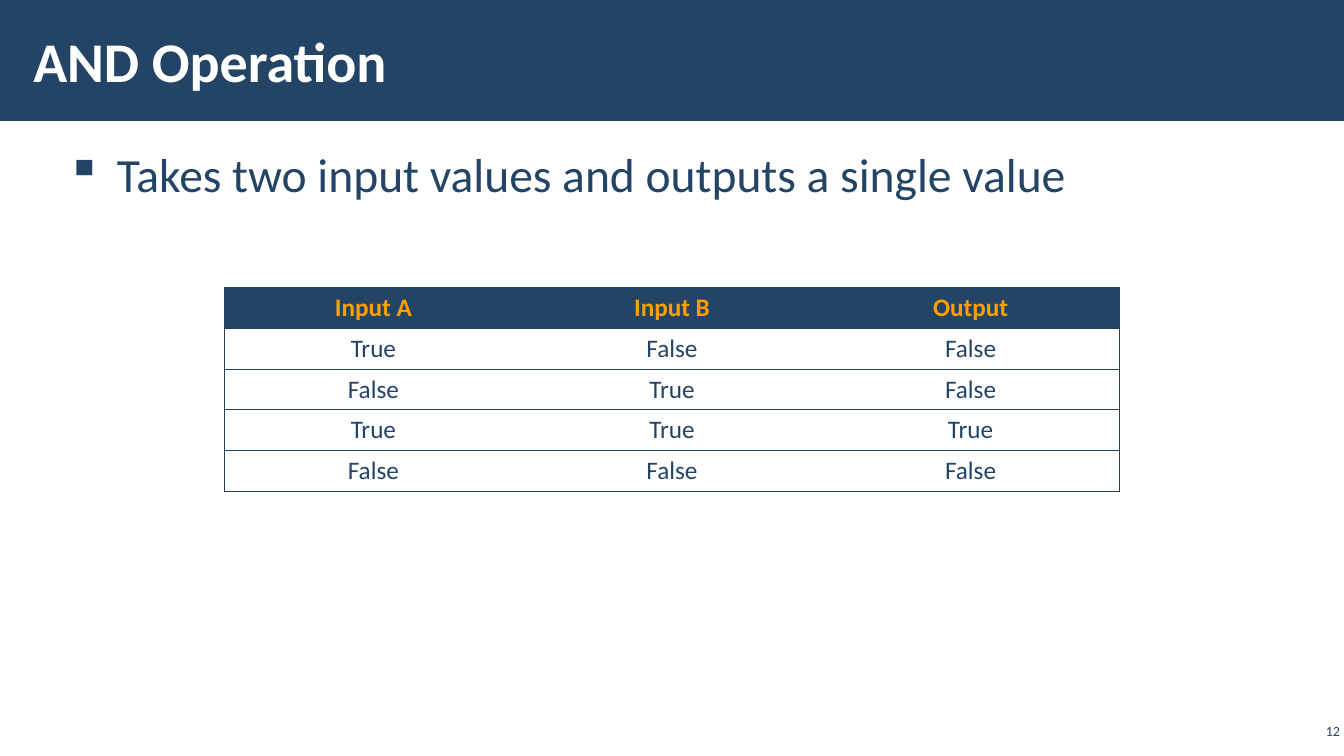
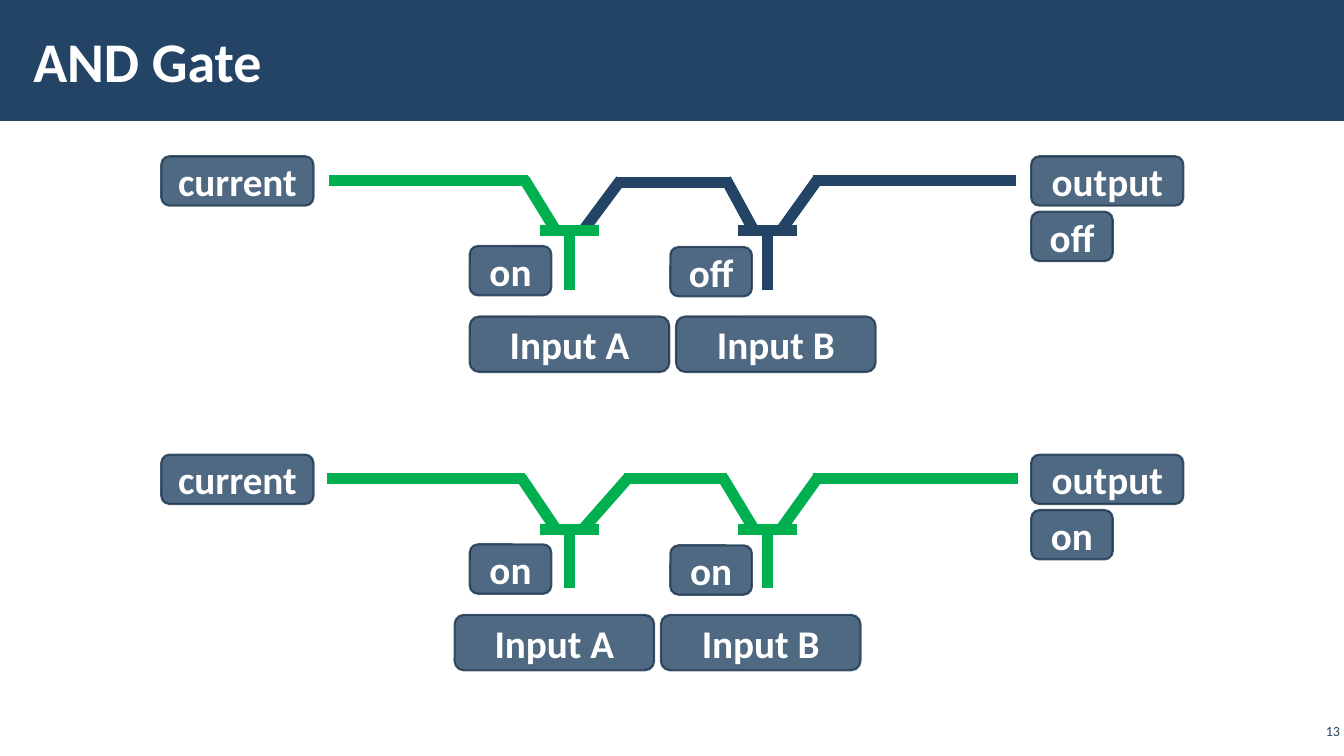
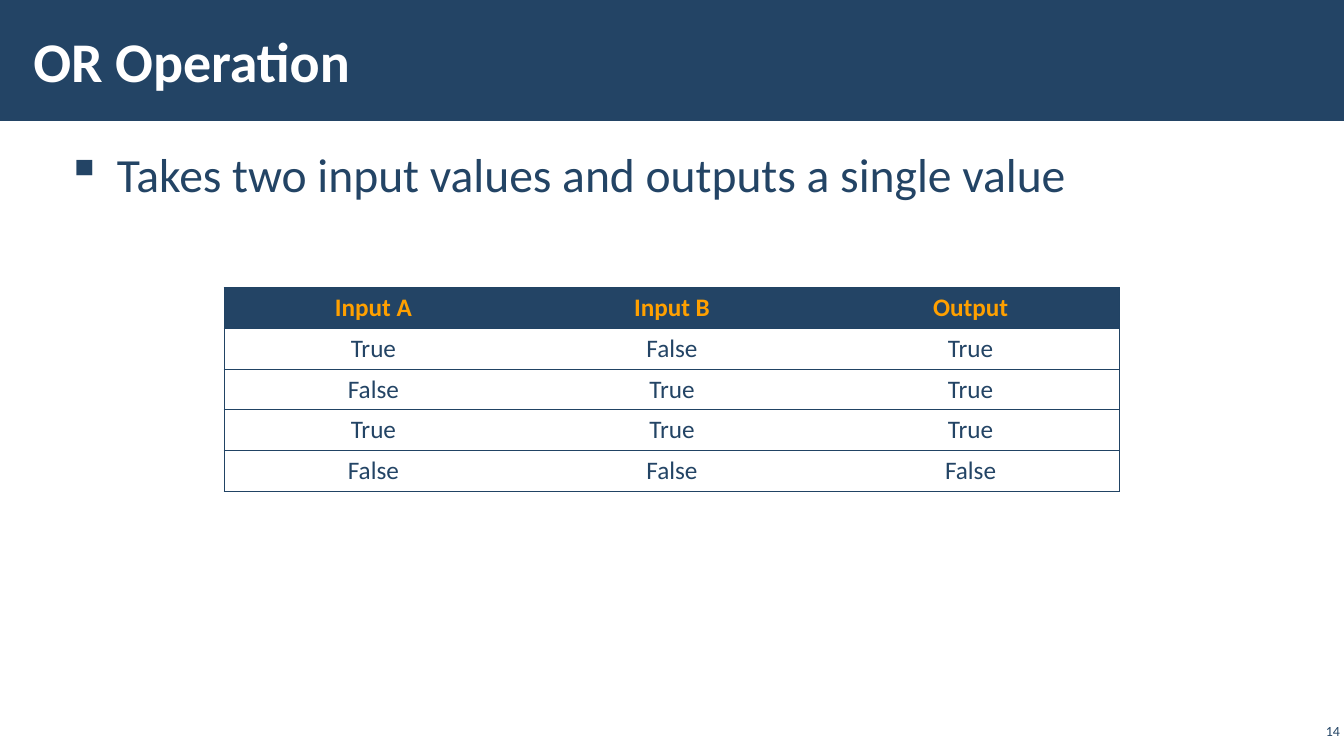
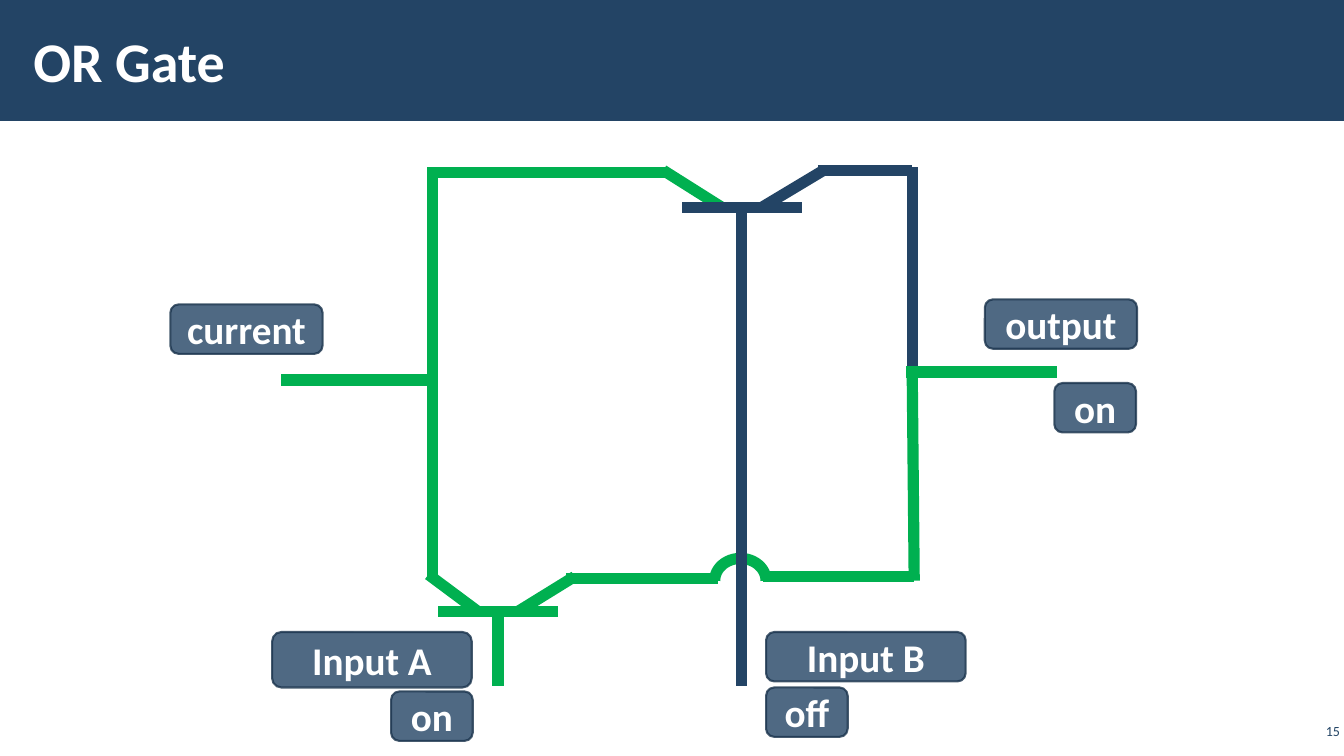
from lxml.etree import SubElement
from pptx import Presentation
from pptx.dml.color import RGBColor
from pptx.enum.shapes import MSO_CONNECTOR as Connector, MSO_SHAPE as Shape
from pptx.enum.text import MSO_ANCHOR as Anchor, PP_ALIGN as Align
from pptx.oxml.ns import qn
from pptx.util import Inches, Pt

# Slide grid: 40 columns by 22.5 rows of square cells
COLUMNS, ROWS = 40, 22.5
CELL = Inches(1) / 3
COLORS = {"navy": "234465", "edge": "1A334C", "rule": "214364",
          "green": "00B050", "orange": "FFA000", "white": "FFFFFF"}
FONT = "Calibri"

# Label sizes in columns and rows
END, INPUT, STATE = (4.53, 1.47), (5.94, 1.65), (2.43, 1.47)


def cells(*lengths):
    return [round(length * CELL) for length in lengths]


def color(name):
    return RGBColor.from_string(COLORS[name])


def apply(target, **values):
    for name, value in values.items():
        setattr(target, name, value)


class Deck:
    def __init__(self, first_number):
        self.presentation = Presentation()
        width, height = cells(COLUMNS, ROWS)
        apply(self.presentation, slide_width=width, slide_height=height)
        self.layout = self.presentation.slide_layouts.get_by_name("Title Only")
        self.number = first_number
        self.slide = None

    def add_slide(self, title):
        self.slide = self.presentation.slides.add_slide(self.layout)
        if len(self.presentation.slides) == 1:
            self.add_band()
        heading = self.slide.shapes.title
        self.place(heading, 0.63, 0.33, 31.2, 2.91)
        self.add_text(heading.text_frame, title, 40, "white", bold=True)
        self.frame(heading.text_frame, 0.12, Anchor.MIDDLE)
        number = self.text_box(38.58, 21.42, 1.42, 0.66, str(self.number), 10, Align.RIGHT)
        self.frame(number.text_frame, 0.04, Anchor.MIDDLE)
        self.number += 1

    def add_band(self):
        """Put the title band on the layout, behind every title."""
        band = self.slide.shapes.add_shape(Shape.RECTANGLE, *cells(0, 0, COLUMNS, 3.6))
        band.shadow.inherit = False
        self.fill(band, "navy")
        band.line.fill.background()
        self.layout.shapes.element.insert(2, band.element)

    # Formatting helpers
    def place(self, shape, left, top, width, height):
        apply(shape, **dict(zip(("left", "top", "width", "height"),
                                cells(left, top, width, height))))

    def fill(self, target, name):
        target.fill.solid()
        target.fill.fore_color.rgb = color(name)

    def frame(self, frame, side, anchor):
        apply(frame, word_wrap=True, vertical_anchor=anchor,
              margin_left=Inches(side), margin_right=Inches(side),
              margin_top=Inches(0.04), margin_bottom=Inches(0.04))

    def add_text(self, frame, text, size, name, align=Align.LEFT, bold=False):
        paragraph = frame.paragraphs[0]
        paragraph.alignment = align
        run = paragraph.add_run()
        run.text = text
        apply(run.font, name=FONT, size=Pt(size), bold=bold)
        run.font.color.rgb = color(name)

    # Elements
    def text_box(self, left, top, width, height, text, size, align=Align.LEFT):
        box = self.slide.shapes.add_textbox(*cells(left, top, width, height))
        self.add_text(box.text_frame, text, size, "navy", align)
        return box

    def bullet(self, text):
        frame = self.text_box(1.62, 4.11, 37, 17.3, text, 34).text_frame
        self.frame(frame, 0.12, Anchor.TOP)
        paragraph = frame.paragraphs[0]
        apply(paragraph, line_spacing=1.05, space_before=Pt(6), space_after=Pt(6))
        properties = paragraph._p.get_or_add_pPr()
        indent = Inches(0.5)
        properties.set("marL", str(indent))
        properties.set("indent", str(-indent))
        SubElement(properties, qn("a:buChar"), char="▪")

    def label(self, text, left, top, size):
        shape = self.slide.shapes.add_shape(Shape.ROUNDED_RECTANGLE, *cells(left, top, *size))
        shape.shadow.inherit = False
        self.fill(shape, "navy")
        shape.line.color.rgb = color("edge")
        shape.line.width = Pt(1.5)
        for tone in list(shape.element.spPr.iter(qn("a:srgbClr"))):
            SubElement(tone, qn("a:alpha"), val="80000")
        shape.text_frame.vertical_anchor = Anchor.MIDDLE
        self.add_text(shape.text_frame, text, 28, "white", Align.CENTER, bold=True)

    def wire(self, name, start, end):
        line = self.slide.shapes.add_connector(Connector.STRAIGHT, *cells(*start, *end))
        line.line.color.rgb = color(name)
        line.line.width = Pt(8)
        SubElement(line.element.spPr, qn("a:effectLst"))

    def hop(self, name, left, top, width, height):
        """Upper half of an ellipse, where one wire crosses another."""
        arc = self.slide.shapes.add_shape(Shape.ARC, *cells(left, top, width, height))
        arc.shadow.inherit = False
        arc.fill.background()
        arc.adjustments[0], arc.adjustments[1] = 108, 0
        arc.line.color.rgb = color(name)
        arc.line.width = Pt(8)

    def transistor(self, center, bar, bottom, left, right, tones, half_bar, half_gap):
        """Two legs meeting a bar on a stem; tones are left leg, base, right leg."""
        leg_in, base, leg_out = tones
        self.wire(leg_in, left, (center - half_gap, bar))
        self.wire(leg_out, right, (center + half_gap, bar))
        self.wire(base, (center - half_bar, bar), (center + half_bar, bar))
        self.wire(base, (center, bar), (center, bottom))

    def truth_table(self, outputs):
        inputs = [("True", "False"), ("False", "True"), ("True", "True"), ("False", "False")]
        rows = [("Input A", "Input B", "Output")]
        rows += [(*pair, output) for pair, output in zip(inputs, outputs)]
        graphic = self.slide.shapes.add_table(len(rows), 3, *cells(6.67, 8.56, 26.66, 6.07))
        table = graphic.table
        table.horz_banding = False
        for row, texts in enumerate(rows):
            header = row == 0
            for column, text in enumerate(texts):
                cell = table.cell(row, column)
                self.fill(cell, "navy" if header else "white")
                self.add_text(cell.text_frame, text, 18, "orange" if header else "navy",
                              Align.CENTER, bold=header)
                self.borders(cell, left=column == 0, right=column == len(texts) - 1)

    def borders(self, cell, left, right):
        properties = cell._tc.get_or_add_tcPr()
        sides = {"lnL": left, "lnR": right, "lnT": True, "lnB": True}
        for position, (side, drawn) in enumerate(sides.items()):
            line = SubElement(properties, qn(f"a:{side}"), w=str(Pt(0.75)))
            if drawn:
                SubElement(SubElement(line, qn("a:solidFill")), qn("a:srgbClr"),
                           val=COLORS["rule"])
            else:
                SubElement(line, qn("a:noFill"))
            properties.insert(position, line)


def operation_slide(deck, title, outputs):
    deck.add_slide(title)
    deck.bullet("Takes two input values and outputs a single value")
    deck.truth_table(outputs)


def and_circuit(deck, top, bends, middle_drop, state_b, inputs_left):
    """Two transistors in series; top is the row of the main wire."""
    start, bend, rise, drop, end = bends
    lap, last_rise = 0.12, 24.33
    tone = "green" if state_b == "on" else "navy"
    middle, bar = top + middle_drop, top + 1.5

    # Wires
    deck.wire("green", (start, top), (bend + lap, top))
    deck.wire(tone, (rise - lap, middle), (drop + lap, middle))
    deck.wire(tone, (last_rise - lap, top), (end, top))
    for center, left, right, tones in [
            (16.95, bend, rise, ("green", "green", tone)),
            (22.84, drop, last_rise, (tone,) * 3)]:
        deck.transistor(center, bar, bar + 1.76, (left, top - 0.04), (right, top - 0.02),
                        tones, half_bar=0.89, half_gap=0.4)

    # Labels
    for text, left, drop_rows, size in [
            ("current", 4.8, -0.72, END), ("output", 30.69, -0.72, END),
            (state_b, 30.69, 0.93, STATE),
            ("on", 13.98, 1.95, STATE), (state_b, 19.95, 1.98, STATE),
            ("Input A", inputs_left, 4.05, INPUT),
            ("Input B", inputs_left + 6.14, 4.05, INPUT)]:
        deck.label(text, left, top + drop_rows, size)


def and_gate_slide(deck):
    deck.add_slide("AND Gate")
    and_circuit(deck, 5.37, (9.8, 15.6, 18.48, 21.6, 30.25), 0.06, "off", 13.98)
    and_circuit(deck, 14.25, (9.72, 15.51, 18.69, 21.51, 30.3), 0, "on", 13.53)


def or_gate_slide(deck):
    deck.add_slide("OR Gate")
    left, right = 12.87, 27.15

    # Wires of the two parallel branches
    for name, start, end in [
            ("green", (8.37, 11.31), (left, 11.31)),
            ("green", (left, 17.22), (left, 4.98)),
            ("green", (left - 0.03, 5.13), (19.89, 5.13)),
            ("navy", (24.36, 5.07), (right, 5.07)),
            ("navy", (right, 11.16), (right, 4.98)),
            ("green", (right - 0.18, 11.07), (31.47, 11.07)),
            ("green", (right + 0.06, 17.28), (right, 11.13)),
            ("green", (22.71, 17.16), (27.21, 17.16)),
            ("green", (16.86, 17.22), (21.36, 17.22))]:
        deck.wire(name, start, end)
    deck.hop("green", 21.27, 16.62, 1.53, 1.32)

    # Input A below, input B above
    for center, bar, leg_in, leg_out, tones in [
            (14.82, 18.21, (12.75, 17.1), (17.1, 17.16), ("green",) * 3),
            (22.08, 6.18, (19.74, 5.07), (24.51, 5.07), ("green", "navy", "navy"))]:
        deck.transistor(center, bar, 20.43, leg_in, leg_out, tones,
                        half_bar=1.78, half_gap=0.58)

    # Labels
    for text, column, row, size in [
            ("current", 5.07, 9.06, END), ("output", 29.31, 8.91, END),
            ("on", 31.38, 11.4, STATE),
            ("Input A", 8.1, 18.81, INPUT), ("on", 11.64, 20.58, STATE),
            ("Input B", 22.8, 18.81, (INPUT[0], END[1])), ("off", 22.8, 20.46, STATE)]:
        deck.label(text, column, row, size)


def main():
    deck = Deck(first_number=12)
    operation_slide(deck, "AND Operation", ["False", "False", "True", "False"])
    and_gate_slide(deck)
    operation_slide(deck, "OR Operation", ["True", "True", "True", "False"])
    or_gate_slide(deck)
    deck.presentation.save("out.pptx")


if __name__ == "__main__":
    main()
